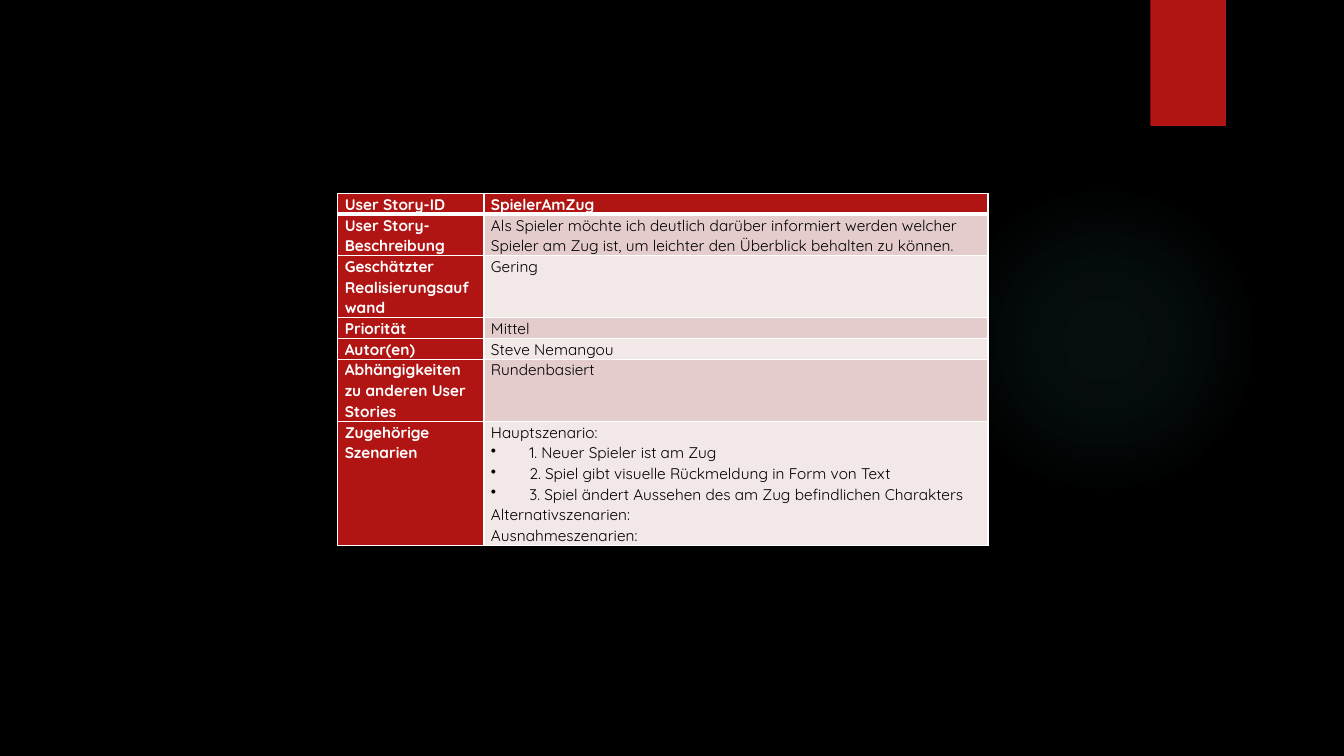
import pptx
import pptx.dml.color
import pptx.enum.shapes
import pptx.enum.text
import pptx.oxml
import pptx.oxml.ns
import pptx.util

Inches = pptx.util.Inches
Shapes = pptx.enum.shapes.MSO_SHAPE

COLOURS = {
    "background": "000000",
    "glow": "50B9C1",
    "red": "B01513",
    "white": "FFFFFF",
    "black": "000000",
    "dark band": "E4CCCC",
    "light band": "F2E8E7",
}
FONT = {"name": "Quicksand", "size": pptx.util.Pt(11)}
CELL = {
    "margin_left": Inches(0.07),
    "margin_right": Inches(0.07),
    "margin_top": 0,
    "margin_bottom": 0,
    "vertical_anchor": pptx.enum.text.MSO_ANCHOR.TOP,
}
PARAGRAPH = {"line_spacing": 1.07, "alignment": pptx.enum.text.PP_ALIGN.LEFT}
LINE_HEIGHT = 0.2
BULLET = "•"

# Label, paragraphs of the value, number of text lines in the row
STORY = [
    ("User Story-ID", ["SpielerAmZug"], 1),
    ("User Story-Beschreibung",
     ["Als Spieler möchte ich deutlich darüber informiert werden welcher "
      "Spieler am Zug ist, um leichter den Überblick behalten zu können."], 2),
    ("Geschätzter Realisierungsaufwand", ["Gering"], 3),
    ("Priorität", ["Mittel"], 1),
    ("Autor(en)", ["Steve Nemangou"], 1),
    ("Abhängigkeiten zu anderen User Stories", ["Rundenbasiert"], 3),
    ("Zugehörige Szenarien",
     ["Hauptszenario:",
      BULLET + "1. Neuer Spieler ist am Zug",
      BULLET + "2. Spiel gibt visuelle Rückmeldung in Form von Text",
      BULLET + "3. Spiel ändert Aussehen des am Zug befindlichen Charakters",
      "Alternativszenarien:",
      "Ausnahmeszenarien:"], 6),
]


def colour(name):
    return pptx.dml.color.RGBColor.from_string(COLOURS[name])


def apply(target, values):
    for name, value in values.items():
        setattr(target, name, value)


def element(markup):
    """Parse one drawing element, adding the namespace to its root tag."""
    tag, rest = markup[1:].split(" ", 1)
    return pptx.oxml.parse_xml(f"<{tag} {pptx.oxml.ns.nsdecls('a')} {rest}")


def add_plain_shape(page, kind, box):
    shape = page.shapes.add_shape(kind, *map(Inches, box))
    shape.line.fill.background()
    shape.shadow.inherit = False
    return shape


def add_glow(page, box):
    """Soft round light that fades outwards."""
    glow = add_plain_shape(page, Shapes.OVAL, box)
    stops = "".join(
        f'<a:gs pos="{position * 1000}"><a:srgbClr val="{COLOURS["glow"]}">'
        f'<a:alpha val="{opacity * 1000}"/></a:srgbClr></a:gs>'
        for position, opacity in ((0, 7), (36, 6), (69, 0)))
    glow._element.spPr.insert(2, element(
        f'<a:gradFill rotWithShape="1"><a:gsLst>{stops}</a:gsLst>'
        '<a:path path="circle"><a:fillToRect l="50000" t="50000" '
        'r="50000" b="50000"/></a:path></a:gradFill>'))


def add_ribbon(page, box):
    """Red tab hanging from the top edge."""
    ribbon = add_plain_shape(page, Shapes.RECTANGLE, box)
    ribbon.fill.solid()
    ribbon.fill.fore_color.rgb = colour("red")
    effects = ribbon._element.spPr.find(pptx.oxml.ns.qn("a:effectLst"))
    effects.append(element(
        '<a:outerShdw blurRad="38100" dist="25400" dir="5400000" rotWithShape="0">'
        f'<a:srgbClr val="{COLOURS["black"]}"><a:alpha val="45000"/></a:srgbClr>'
        '</a:outerShdw>'))


def set_borders(cell, widths):
    for index, (side, points) in enumerate(widths.items()):
        cell._tc.get_or_add_tcPr().insert(index, element(
            f'<a:ln{side} w="{pptx.util.Pt(points)}"><a:solidFill>'
            f'<a:srgbClr val="{COLOURS["white"]}"/></a:solidFill></a:ln{side}>'))


def fill_cell(cell, lines, fill, ink, bold):
    apply(cell, CELL)
    cell.fill.solid()
    cell.fill.fore_color.rgb = colour(fill)
    for index, line in enumerate(lines):
        frame = cell.text_frame
        para = frame.add_paragraph() if index else frame.paragraphs[0]
        apply(para, PARAGRAPH)
        if line.startswith(BULLET):
            properties = para._p.get_or_add_pPr()
            properties.set("marL", str(Inches(0.38)))
            properties.set("indent", str(-Inches(0.38)))
            properties.append(element(f'<a:buChar char="{BULLET}"/>'))
        span = para.add_run()
        span.text = line.removeprefix(BULLET)
        apply(span.font, FONT | {"bold": bold})
        span.font.color.rgb = colour(ink)


def add_story_table(page, left, top, widths):
    """User story: red header row and label column, banded values."""
    height = LINE_HEIGHT * sum(count for _, _, count in STORY)
    table = page.shapes.add_table(
        len(STORY), len(widths), Inches(left), Inches(top),
        Inches(sum(widths)), Inches(height)).table
    apply(table, {"first_row": False, "horz_banding": False})
    for column, width in zip(table.columns, widths):
        column.width = Inches(width)
    for number, (label, values, count) in enumerate(STORY):
        table.rows[number].height = Inches(LINE_HEIGHT * count)
        band = "dark band" if number % 2 else "light band"
        for place, lines in enumerate(([label], values)):
            cell = table.cell(number, place)
            strong = number == 0 or place == 0
            fill_cell(cell, lines, "red" if strong else band,
                      "white" if strong else "black", strong)
            set_borders(cell, {"L": 1, "R": 1, "T": 3 if number == 1 else 1,
                               "B": 3 if number == 0 else 1})


def build_story_page(deck):
    page = deck.slides.add_slide(deck.slide_layouts[6])
    page.background.fill.solid()
    page.background.fill.fore_color.rgb = colour("background")
    add_glow(page, (9.41, 1.83, 3.08, 3.08))
    add_ribbon(page, (11.41, 0, 0.75, 1.25))
    add_story_table(page, 3.35, 1.92, (1.45, 5))


def main():
    deck = pptx.Presentation()
    apply(deck, {"slide_width": Inches(13.33), "slide_height": Inches(7.5)})
    build_story_page(deck)
    deck.save("out.pptx")


if __name__ == "__main__":
    main()
